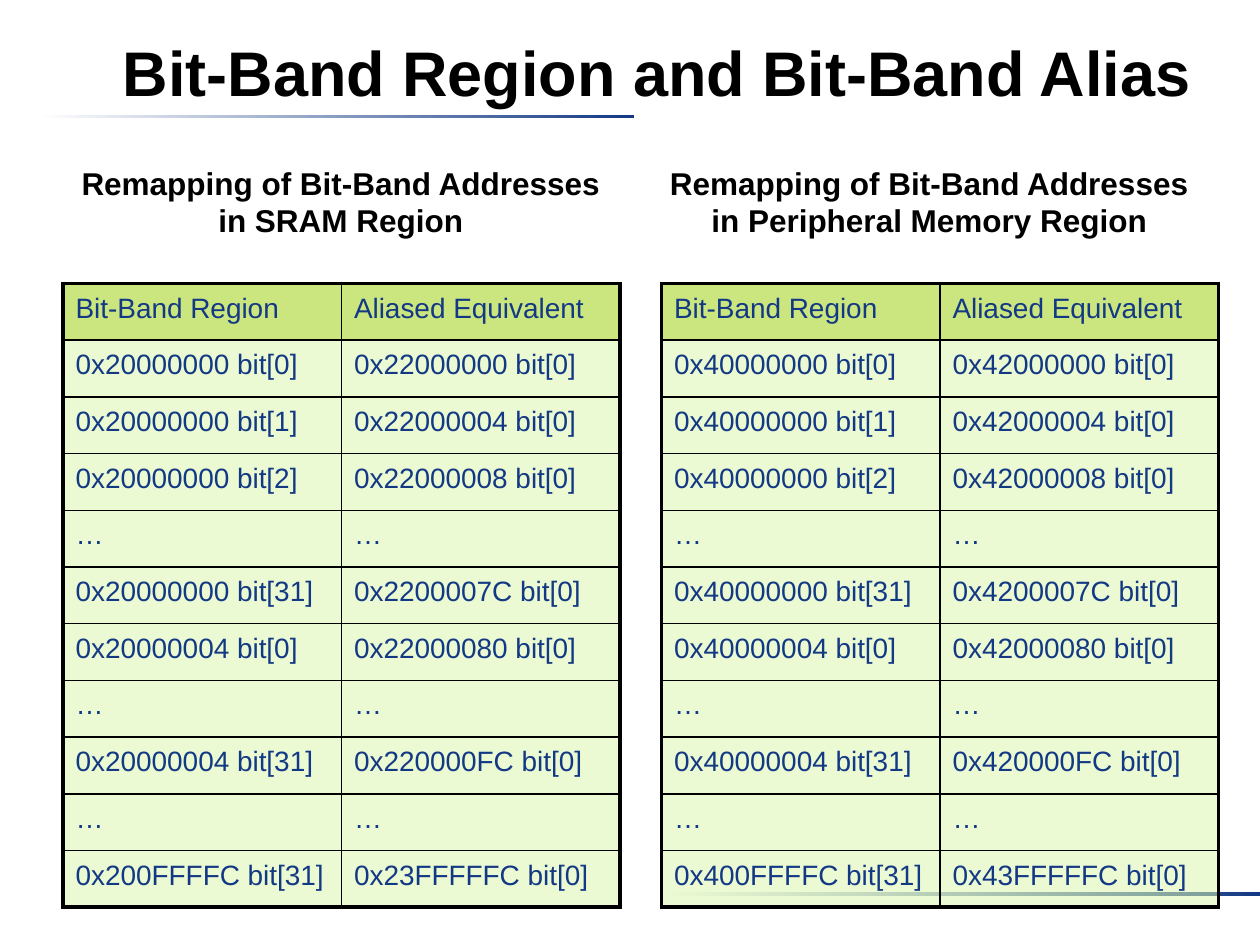
from dataclasses import dataclass

from lxml.etree import SubElement
from pptx import Presentation
from pptx.dml.color import RGBColor
from pptx.enum.shapes import MSO_SHAPE
from pptx.enum.text import MSO_ANCHOR, MSO_AUTO_SIZE, PP_ALIGN
from pptx.oxml.ns import qn
from pptx.util import Inches, Pt


@dataclass(frozen=True)
class Theme:
    font: str = "Arial"
    black: str = "000000"
    white: str = "FFFFFF"
    navy: str = "133984"
    header_green: str = "99CC00"
    body_green: str = "D8F6A8"
    green_opacity: int = 50
    title_size: int = 36
    caption_size: int = 18
    cell_size: int = 16
    outer_border: float = 2.25
    inner_border: float = 1


THEME = Theme()
HEADINGS = ("Bit-Band Region", "Aliased Equivalent")
GAP = ("…", "…")
ALIAS_OFFSET = 0x2000000
MAPPED_BITS = (
    (0, 0), (0, 1), (0, 2), None, (0, 31), (4, 0), None, (4, 31), None, (0xFFFFC, 31),
)
REGIONS = (
    ("Remapping of Bit-Band Addresses in SRAM Region", 0x20000000, 0.5, 0.5),
    ("Remapping of Bit-Band Addresses in Peripheral Memory Region", 0x40000000, 5.17, 5.25),
)


def add_run(paragraph, text, size, color, bold=False):
    run = paragraph.add_run()
    run.text = text
    run.font.name = THEME.font
    run.font.size = Pt(size)
    run.font.bold = bold
    run.font.color.rgb = RGBColor.from_string(color)


def add_title(slide, text):
    title = slide.shapes.title
    title.left, title.top = Inches(0.83), Inches(0.21)
    title.width, title.height = Inches(8.77), Inches(0.71)
    frame = title.text_frame
    frame.word_wrap = True
    frame.auto_size = MSO_AUTO_SIZE.NONE
    frame.vertical_anchor = MSO_ANCHOR.BOTTOM
    frame.margin_top, frame.margin_bottom = Inches(0.06), Inches(0.05)
    paragraph = frame.paragraphs[0]
    paragraph.alignment = PP_ALIGN.CENTER
    paragraph.line_spacing = 1.0
    add_run(paragraph, text, THEME.title_size, THEME.black, bold=True)


def add_fading_rule(slide, left, top):
    rule = slide.shapes.add_shape(
        MSO_SHAPE.RECTANGLE, Inches(left), Inches(top), Inches(4.72), Inches(0.03)
    )
    rule.shadow.inherit = False
    rule.line.fill.background()
    rule.fill.gradient()
    rule.fill.gradient_angle = 0
    stops = zip(rule.fill.gradient_stops, (0, 1), (THEME.white, THEME.navy))
    for stop, position, color in stops:
        stop.position = position
        stop.color.rgb = RGBColor.from_string(color)


def add_caption(slide, text, left):
    caption = slide.shapes.add_textbox(
        Inches(left), Inches(1.25), Inches(4.41), Inches(0.7)
    )
    frame = caption.text_frame
    frame.word_wrap = True
    frame.auto_size = MSO_AUTO_SIZE.SHAPE_TO_FIT_TEXT
    paragraph = frame.paragraphs[0]
    paragraph.alignment = PP_ALIGN.CENTER
    add_run(paragraph, text, THEME.caption_size, THEME.black, bold=True)


def address_rows(base):
    rows = [HEADINGS]
    for mapped in MAPPED_BITS:
        if mapped is None:
            rows.append(GAP)
            continue
        offset, bit = mapped
        alias = base + ALIAS_OFFSET + offset * 32 + bit * 4
        rows.append((f"0x{base + offset:08X} bit[{bit}]", f"0x{alias:08X} bit[0]"))
    return rows


def set_borders(cell, outer_edges):
    properties = cell._tc.get_or_add_tcPr()
    for edge, is_outer in outer_edges.items():
        width = THEME.outer_border if is_outer else THEME.inner_border
        border = SubElement(properties, qn(f"a:{edge}"), w=str(Pt(width)))
        fill = SubElement(border, qn("a:solidFill"))
        SubElement(fill, qn("a:srgbClr"), val=THEME.black)


def set_translucent_fill(cell, color):
    cell.fill.solid()
    cell.fill.fore_color.rgb = RGBColor.from_string(color)
    tint = cell._tc.tcPr.find(f"{qn('a:solidFill')}/{qn('a:srgbClr')}")
    SubElement(tint, qn("a:alpha"), val=str(THEME.green_opacity * 1000))


def write_cell(cell, text):
    paragraph = cell.text_frame.paragraphs[0]
    paragraph.line_spacing = 1.1
    space_before = SubElement(paragraph._p.get_or_add_pPr(), qn("a:spcBef"))
    SubElement(space_before, qn("a:spcPct"), val="20000")
    add_run(paragraph, text, THEME.cell_size, THEME.navy)


def add_address_table(slide, rows, left):
    last_row, last_column = len(rows) - 1, len(HEADINGS) - 1
    table = slide.shapes.add_table(
        len(rows), len(HEADINGS),
        Inches(left), Inches(2.25), Inches(4.42), Inches(0.45 * len(rows)),
    ).table
    for row in table.rows:
        row.height = Inches(0.45)
    for column in table.columns:
        column.width = Inches(2.21)
    for r, texts in enumerate(rows):
        for c, text in enumerate(texts):
            cell = table.cell(r, c)
            write_cell(cell, text)
            set_borders(cell, {
                "lnL": c == 0, "lnR": c == last_column,
                "lnT": r == 0, "lnB": r == last_row,
            })
            set_translucent_fill(cell, THEME.body_green if r else THEME.header_green)


def main():
    presentation = Presentation()
    presentation.slide_width, presentation.slide_height = Inches(10), Inches(7.5)
    slide = presentation.slides.add_slide(presentation.slide_layouts[5])
    add_fading_rule(slide, 0.31, 0.91)
    add_fading_rule(slide, 5.28, 7.08)
    add_title(slide, "Bit-Band Region and Bit-Band Alias")
    for caption, base, caption_left, table_left in REGIONS:
        add_caption(slide, caption, caption_left)
        add_address_table(slide, address_rows(base), table_left)
    presentation.save("out.pptx")


if __name__ == "__main__":
    main()
